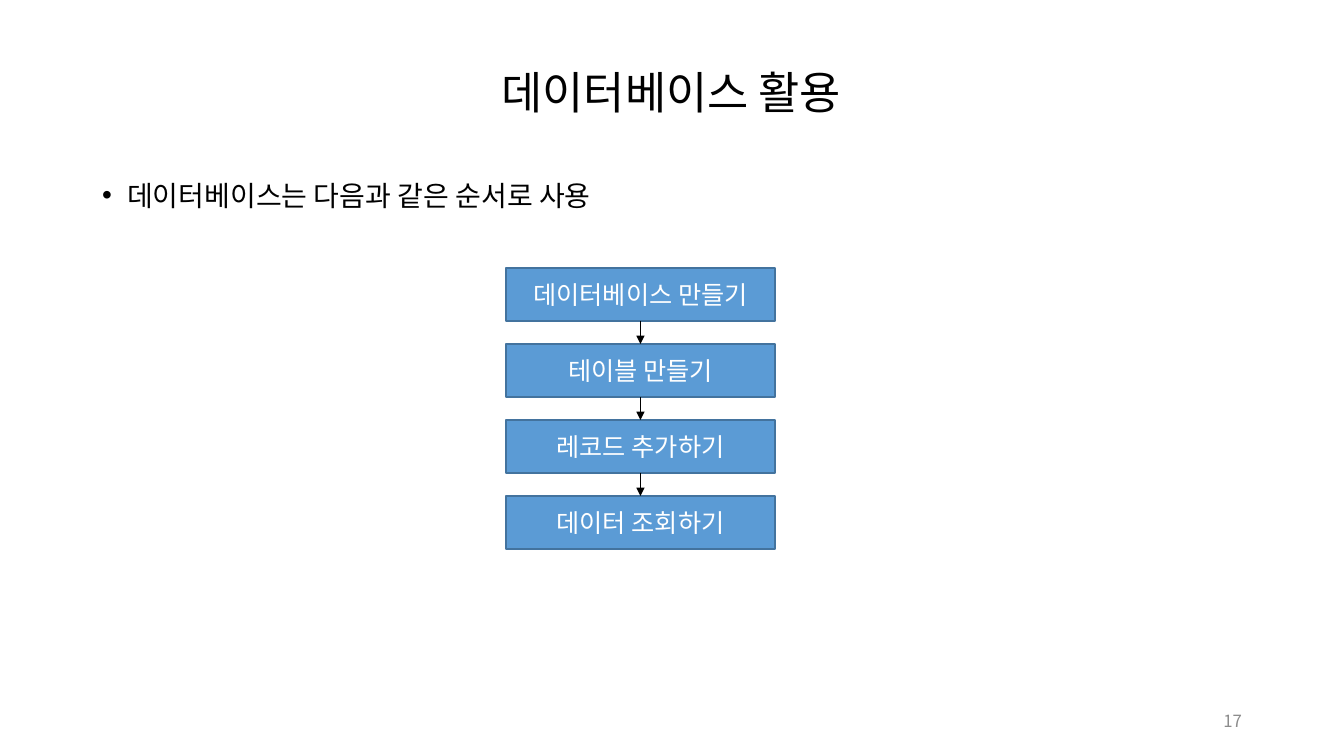
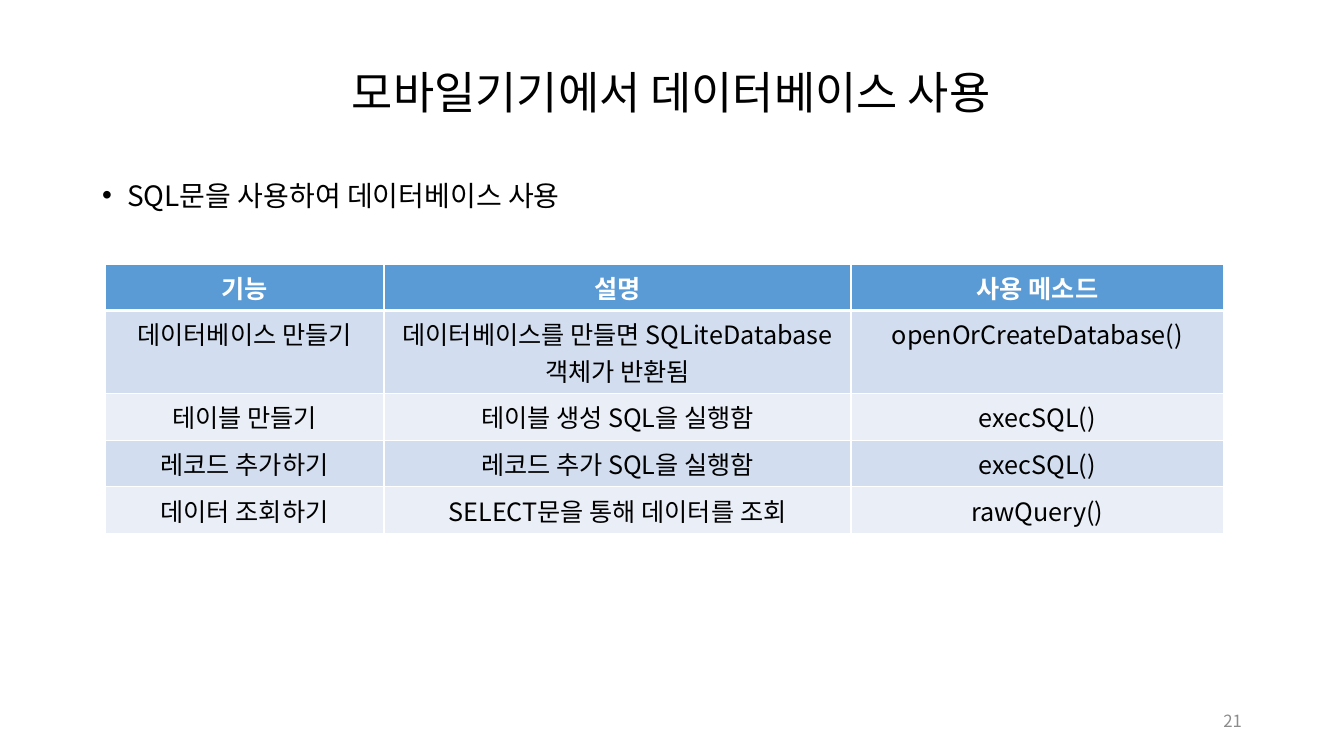
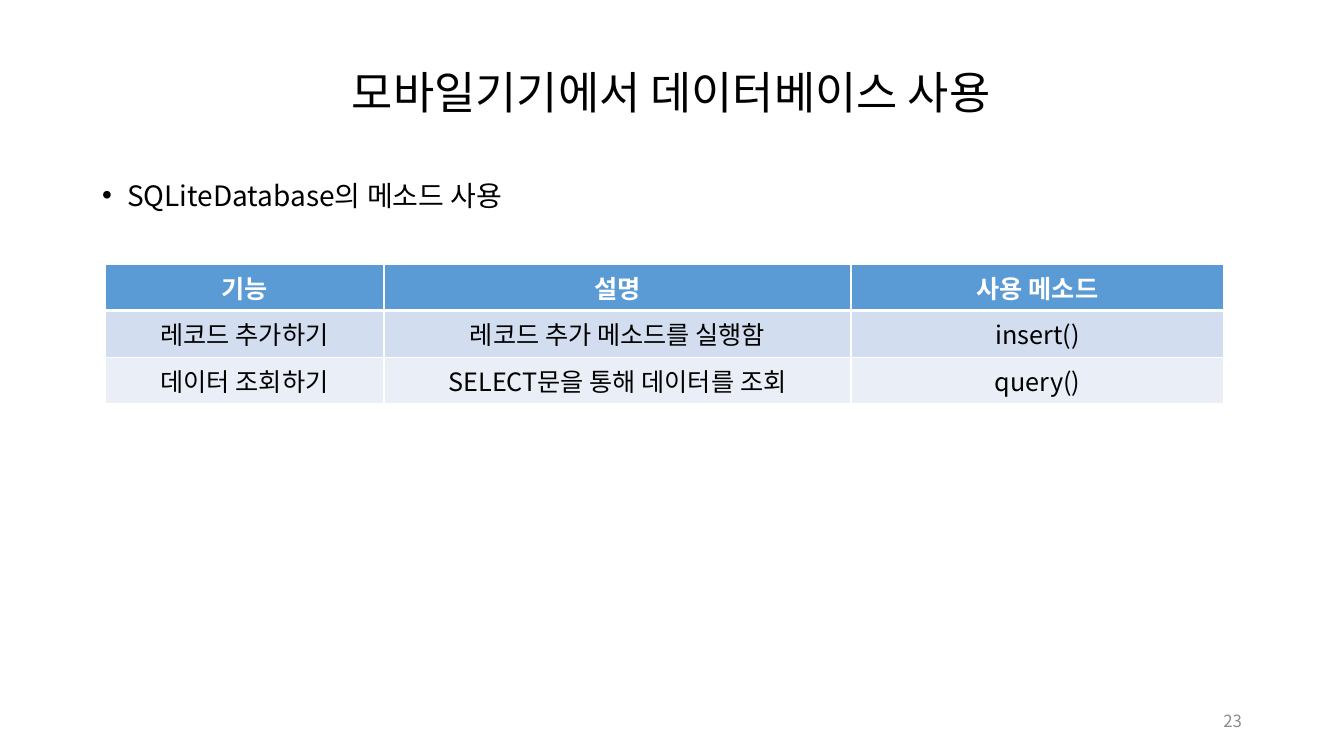
"""Build three slides on how to use a database: a flow of steps and two method tables."""
from dataclasses import dataclass
from itertools import pairwise

from pptx import Presentation
from pptx.dml.color import RGBColor as RGB
from pptx.enum.shapes import MSO_CONNECTOR as CONN, MSO_SHAPE as SHAPE
from pptx.enum.text import MSO_ANCHOR as ANCHOR, MSO_AUTO_SIZE as AUTO, PP_ALIGN as ALIGN
from pptx.oxml.ns import qn
from pptx.oxml.xmlchemy import OxmlElement
from pptx.util import Pt

SLIDE_W, SLIDE_H = 1344, 756
SCALE = 12192000 / SLIDE_W


@dataclass(frozen=True)
class Theme:
    font: str = "Noto Sans CJK KR"
    black: str = "000000"
    white: str = "FFFFFF"
    gray: str = "8C8C8C"
    accent: str = "5B9BD5"
    accent_line: str = "43739E"
    bands: tuple = ("D2DEEF", "EAEFF7")
    title: int = 32
    body: int = 20
    label: int = 18
    number: int = 12


T = Theme()


def px(*lengths):
    return [round(n * SCALE) for n in lengths]


def add_child(parent, tag, **attrs):
    child = OxmlElement(tag)
    for name, value in attrs.items():
        child.set(name, str(value))
    parent.append(child)
    return child


def write(tf, text, size, color, align, bold=False):
    tf.text = text
    p = tf.paragraphs[0]
    p.alignment = align
    font = p.font
    font.name, font.size, font.bold = T.font, Pt(size), bold
    font.color.rgb = RGB.from_string(color)
    defaults = p._p.pPr.find(qn("a:defRPr"))
    add_child(defaults, "a:ea", typeface=T.font)
    return p


def place(shape, *box):
    shape.left, shape.top, shape.width, shape.height = px(*box)
    tf = shape.text_frame
    tf.word_wrap = True
    tf.auto_size = AUTO.NONE
    return tf


def add_bullet(p):
    pPr = p._p.get_or_add_pPr()
    indent, = px(25)
    pPr.set("marL", str(indent))
    pPr.set("indent", str(-indent))
    bullet = add_child(pPr, "a:buChar", char="•")
    pPr.find(qn("a:defRPr")).addprevious(bullet)


def add_page(prs, title, point, number):
    s = prs.slides.add_slide(prs.slide_layouts[1])
    tf = place(s.shapes.title, 92, 40, 1159, 110)
    tf.vertical_anchor = ANCHOR.MIDDLE
    write(tf, title, T.title, T.black, ALIGN.CENTER).line_spacing = 0.9

    tf = place(s.placeholders[1], 92, 173, 1159, 507)
    p = write(tf, point, T.body, T.black, ALIGN.LEFT)
    p.space_before, p.space_after = Pt(10), Pt(4)
    add_bullet(p)

    tf = place(s.shapes.add_textbox(0, 0, 0, 0), 950, 701, 302, 40)
    tf.vertical_anchor = ANCHOR.MIDDLE
    write(tf, str(number), T.number, T.gray, ALIGN.RIGHT)
    return s


def add_step(s, text, top):
    step = s.shapes.add_shape(SHAPE.RECTANGLE, *px(506, top, 269, 53))
    step.shadow.inherit = False
    step.fill.solid()
    step.fill.fore_color.rgb = RGB.from_string(T.accent)
    step.line.color.rgb = RGB.from_string(T.accent_line)
    step.line.width = Pt(1)
    write(step.text_frame, text, T.label, T.white, ALIGN.CENTER)
    return step


def add_arrow(s, upper, lower):
    arrow = s.shapes.add_connector(CONN.STRAIGHT, 0, 0, 0, 0)
    arrow.begin_connect(upper, 2)
    arrow.end_connect(lower, 0)
    arrow.line.color.rgb = RGB.from_string(T.black)
    arrow.line.width = Pt(0.5)
    add_child(arrow.line._ln, "a:tailEnd", type="triangle")
    add_child(arrow._element.spPr, "a:effectLst")


def add_flow(s, labels, top=268, pitch=76):
    steps = [add_step(s, text, top + i * pitch) for i, text in enumerate(labels)]
    for upper, lower in pairwise(steps):
        add_arrow(s, upper, lower)


def set_borders(cell, top, bottom):
    tcPr = cell._tc.get_or_add_tcPr()
    widths = {"L": 1, "R": 1, "T": top, "B": bottom}
    for i, (side, width) in enumerate(widths.items()):
        line = add_child(tcPr, f"a:ln{side}", w=Pt(width))
        fill = add_child(line, "a:solidFill")
        add_child(fill, "a:srgbClr", val=T.white)
        tcPr.insert(i, line)


def add_method_table(s, rows):
    widths, row_height = (279, 467, 373), 41
    rows = [("기능", "설명", "사용 메소드"), *rows]
    box = px(105, 264, sum(widths), row_height * len(rows))
    table = s.shapes.add_table(len(rows), len(widths), *box).table
    for column, width in zip(table.columns, px(*widths)):
        column.width = width
    for r, row in enumerate(rows):
        header = r == 0
        fill = T.accent if header else T.bands[(r - 1) % 2]
        color = T.white if header else T.black
        for c, text in enumerate(row):
            cell = table.cell(r, c)
            cell.fill.solid()
            cell.fill.fore_color.rgb = RGB.from_string(fill)
            write(cell.text_frame, text, T.label, color, ALIGN.CENTER, header)
            set_borders(cell, 3 if r == 1 else 1, 3 if header else 1)


def main():
    prs = Presentation()
    prs.slide_width, prs.slide_height = px(SLIDE_W, SLIDE_H)
    steps = ("데이터베이스 만들기", "테이블 만들기", "레코드 추가하기", "데이터 조회하기")
    create_db, create_table, add_record, find_data = steps
    usage = "모바일기기에서 데이터베이스 사용"
    select = "SELECT문을 통해 데이터를 조회"

    s = add_page(prs, "데이터베이스 활용", "데이터베이스는 다음과 같은 순서로 사용", 17)
    add_flow(s, steps)

    s = add_page(prs, usage, "SQL문을 사용하여 데이터베이스 사용", 21)
    add_method_table(s, [
        (create_db, "데이터베이스를 만들면 SQLiteDatabase 객체가 반환됨", "openOrCreateDatabase()"),
        (create_table, "테이블 생성 SQL을 실행함", "execSQL()"),
        (add_record, "레코드 추가 SQL을 실행함", "execSQL()"),
        (find_data, select, "rawQuery()"),
    ])

    s = add_page(prs, usage, "SQLiteDatabase의 메소드 사용", 23)
    add_method_table(s, [
        (add_record, "레코드 추가 메소드를 실행함", "insert()"),
        (find_data, select, "query()"),
    ])
    prs.save("out.pptx")


if __name__ == "__main__":
    main()
